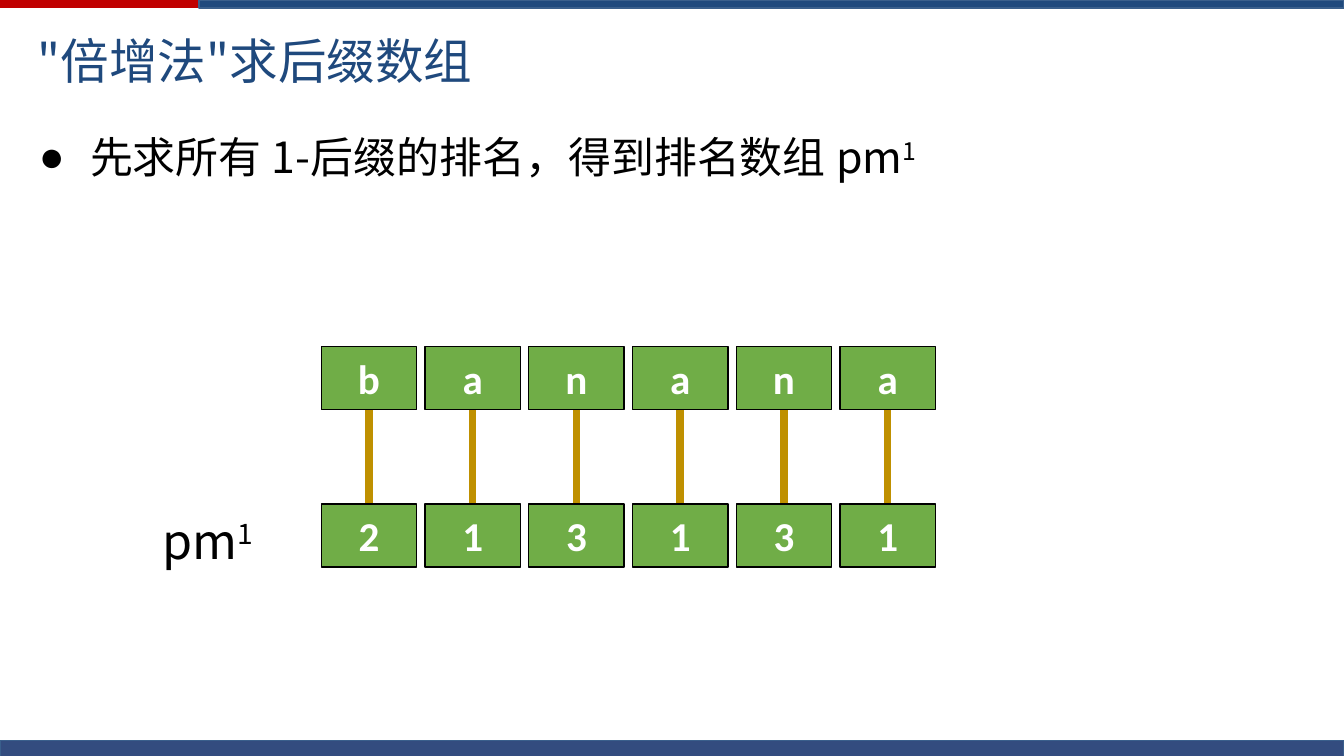
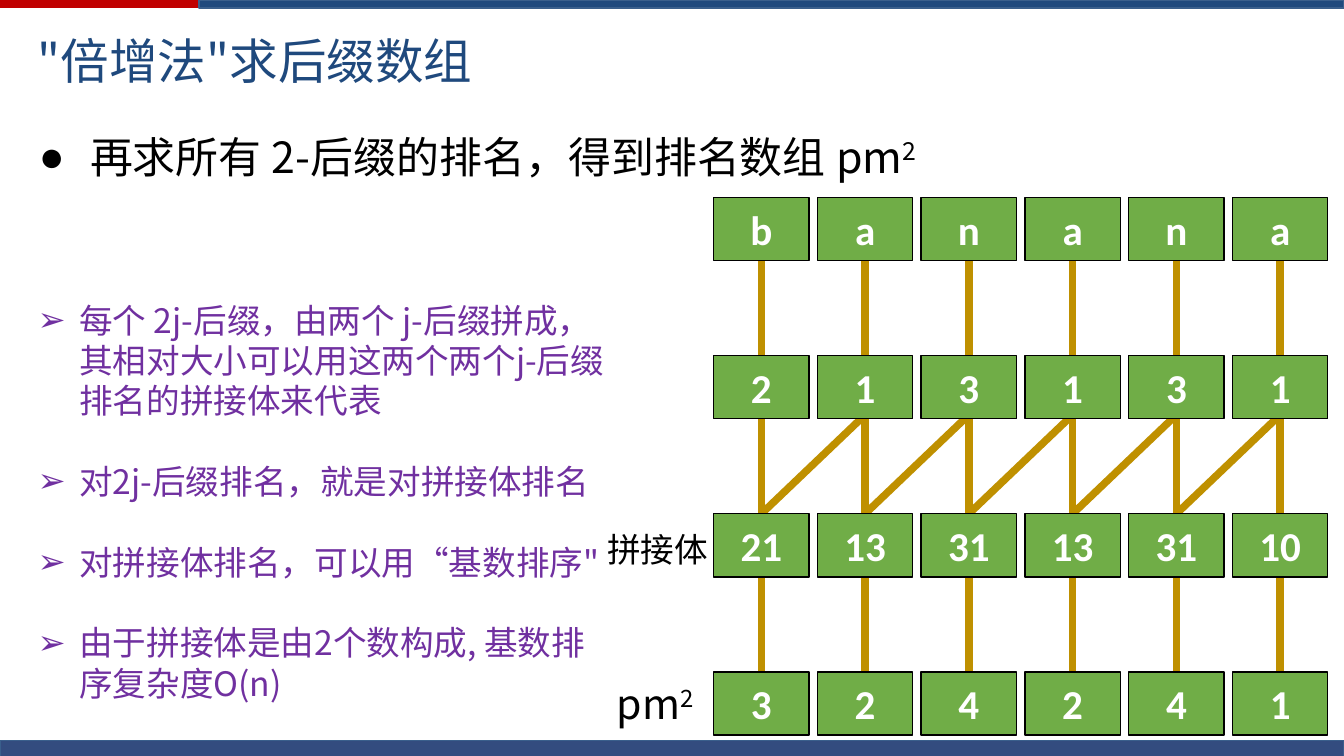
from lxml import etree
from pptx import Presentation
from pptx.dml.color import RGBColor
from pptx.enum import shapes, text
from pptx.oxml import ns
from pptx.util import Inches, Pt

HUES = {
    "red": "C00000",
    "blue": "1F497D",
    "edge": "3A5F8C",
    "navy": "002060",
    "gold": "BF9000",
    "green": "70AD47",
    "black": "000000",
    "white": "FFFFFF",
    "purple": "7030A0",
}
SANS = "Noto Sans CJK SC"
TITLE = '"倍增法"求后缀数组'
WIDE, HIGH = 0.71, 0.47
STEP = (6.25 - 2.39) / 5
START = 0.44


def hue(name):
    return RGBColor.from_string(HUES[name])


def add_tag(parent, name, **attrs):
    return etree.SubElement(parent, ns.qn(name), **attrs)


def put_text(shape, words, size, color="black", font=SANS, bold=False,
             align=text.PP_ALIGN.LEFT, anchor=text.MSO_ANCHOR.TOP,
             wrap=True, sup="", bullet="", indent=0, gap=0):
    frame = shape.text_frame
    frame.text = words
    frame.auto_size = text.MSO_AUTO_SIZE.NONE
    frame.word_wrap = wrap
    frame.vertical_anchor = anchor
    for row, para in enumerate(frame.paragraphs):
        para.alignment = align
        para.space_before = Pt(gap if row else 0)
        if font == SANS:
            para.line_spacing = Pt(size * 1.2)
        if bullet:
            props = para._p.get_or_add_pPr()
            props.set("marL", str(Inches(indent)))
            props.set("indent", str(-Inches(indent)))
            add_tag(props, "a:buChar", char=bullet)
        if sup:
            para.add_run().text = sup
        for run in para.runs:
            run.font.size = Pt(size)
            run.font.bold = bold
            run.font.name = font
            run.font.color.rgb = hue(color)
            add_tag(run._r.get_or_add_rPr(), "a:ea", typeface=font)
        if sup:
            para.runs[-1]._r.get_or_add_rPr().set("baseline", "30000")


def place(shape, left, top, width, height):
    shape.left, shape.top = Inches(left), Inches(top)
    shape.width, shape.height = Inches(width), Inches(height)
    return shape


def add_rect(slide, left, top, width, height, fill, line=None, weight=0):
    rect = slide.shapes.add_shape(
        shapes.MSO_SHAPE.RECTANGLE, Inches(left), Inches(top),
        Inches(width), Inches(height))
    rect.shadow.inherit = False
    rect.fill.solid()
    rect.fill.fore_color.rgb = hue(fill)
    if line:
        rect.line.color.rgb = hue(line)
        rect.line.width = Pt(weight)
    else:
        rect.line.fill.background()
    return rect


def add_bands(deck, slide):
    red = add_rect(slide, 0, 0, 10, 0.06, "red")
    blue = add_rect(slide, 1.48, 0, 8.52, 0.06, "blue", "edge")
    foot = add_rect(slide, 0, 5.51, 10, 0.12, "navy", "edge")
    tint = foot.element.spPr.find(
        f"{ns.qn('a:solidFill')}/{ns.qn('a:srgbClr')}")
    add_tag(tint, "a:alpha", val="80000")
    for band in (red, blue, foot):
        deck.slide_master.shapes.element.append(band.element)


def add_slide(deck, layout, lead, sup):
    slide = deck.slides.add_slide(deck.slide_layouts[layout])
    title = place(slide.shapes.title, 0.18, 0.18, 6.75, 0.94)
    put_text(title, TITLE, 26, "blue")
    body = place(slide.placeholders[1], 0.19, 0.92, 9.69, 0.63)
    put_text(body, lead, 23, sup=sup, bullet="●", indent=0.38)
    return slide


def add_label(slide, words, left, top, width, height, size, sup=""):
    box = slide.shapes.add_textbox(
        Inches(left), Inches(top), Inches(width), Inches(height))
    put_text(box, words, size, wrap=False, sup=sup)


def add_link(slide, x1, y1, x2, y2):
    link = slide.shapes.add_connector(
        shapes.MSO_CONNECTOR.STRAIGHT,
        Inches(x1), Inches(y1), Inches(x2), Inches(y2))
    link.line.color.rgb = hue("gold")
    link.line.width = Pt(4)
    add_tag(link.element.spPr, "a:effectLst")


def add_grid(slide, left, top, pitch, rows, cross=None):
    mids = [left + WIDE / 2 + col * STEP for col in range(len(rows[0]))]
    for row in range(len(rows) - 1):
        head, tail = top + row * pitch + START, top + (row + 1) * pitch
        for mid in mids:
            add_link(slide, mid, head, mid, tail)
        if row == cross:
            for mid, after in zip(mids, mids[1:]):
                add_link(slide, after, head, mid, tail)
    for row, cells in enumerate(rows):
        for mid, cell in zip(mids, cells):
            box = add_rect(slide, mid - WIDE / 2, top + row * pitch,
                           WIDE, HIGH, "green", "black", 0.75)
            put_text(box, cell, 22, "white", "Calibri", True,
                     text.PP_ALIGN.CENTER, text.MSO_ANCHOR.MIDDLE)


def main():
    deck = Presentation()
    deck.slide_width, deck.slide_height = Inches(10), Inches(10 * 9 / 16)
    word, ranks = "banana", "213131"

    first = add_slide(deck, 1, "先求所有 1-后缀的排名，得到排名数组 pm", "1")
    add_bands(deck, first)
    add_grid(first, 2.39, 2.58, 1.17, [word, ranks])
    add_label(first, "pm", 1.11, 3.75, 0.92, 0.54, 26, "1")

    second = add_slide(deck, 3, "再求所有 2-后缀的排名，得到排名数组 pm", "2")
    notes = place(second.placeholders[2], 0.18, 2.18, 4.49, 3.43)
    points = [
        "每个 2j-后缀，由两个 j-后缀拼成，其相对大小可以用这两个两个j-后缀排名的拼接体来代表",
        "对2j-后缀排名，就是对拼接体排名",
        '对拼接体排名，可以用“基数排序"',
        "由于拼接体是由2个数构成, 基数排序复杂度O(n)",
    ]
    put_text(notes, "\n".join(points), 18, "purple",
             bullet="➢", indent=0.31, gap=21.6)
    for spare in list(second.placeholders):
        if not spare.text_frame.text:
            spare.element.getparent().remove(spare.element)
    pairs = [a + b for a, b in zip(ranks, ranks[1:] + "0")]
    add_grid(second, 5.31, 1.47, (5 - 1.47) / 3,
             [word, ranks, pairs, "324241"], cross=1)
    add_label(second, "拼接体", 4.42, 3.89, 0.96, 0.4, 18)
    add_label(second, "pm", 4.49, 5, 0.81, 0.47, 22, "2")

    deck.save("out.pptx")


if __name__ == "__main__":
    main()
